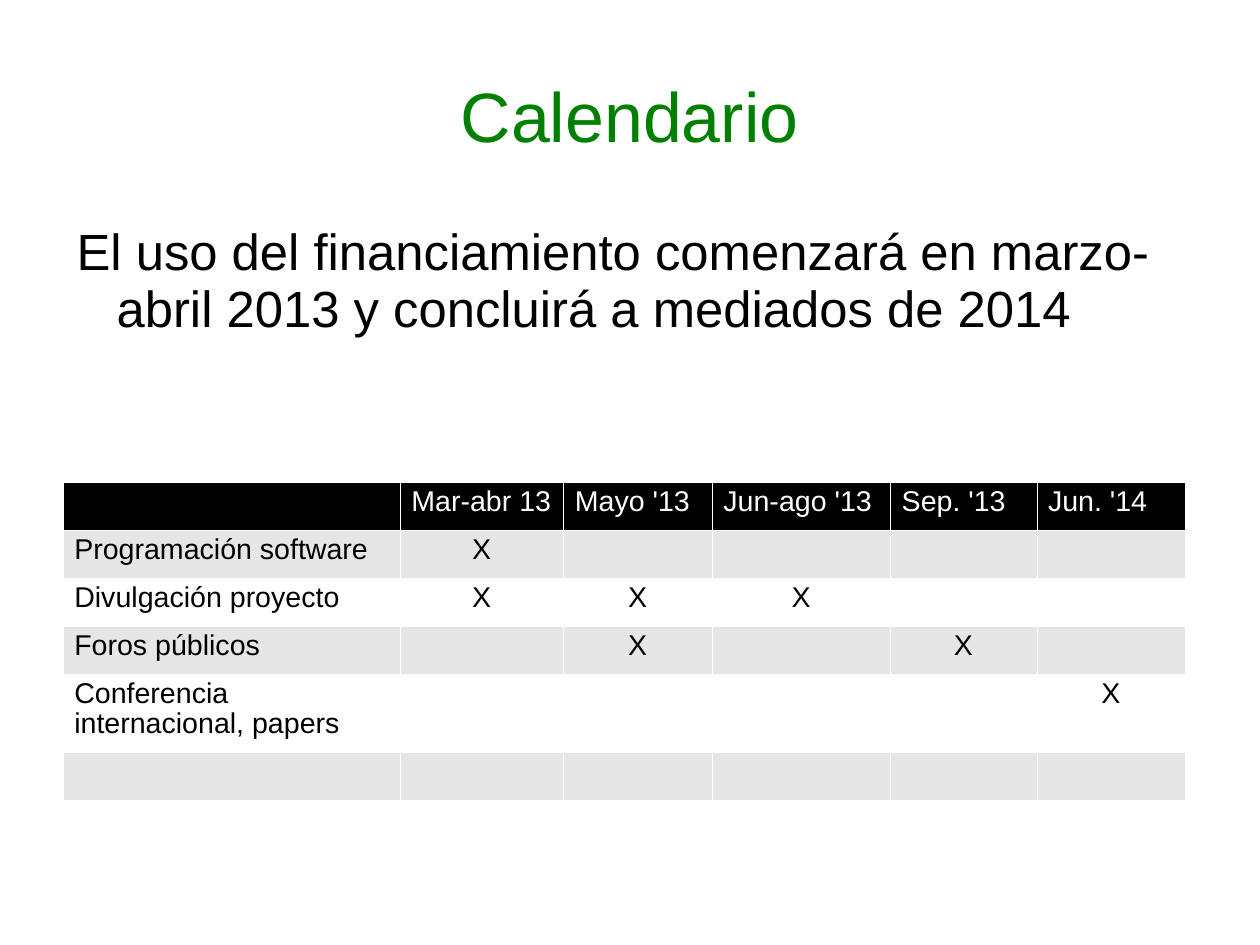
from lxml import etree
from pptx import Presentation
from pptx import util as u
from pptx.dml.color import RGBColor
from pptx.enum import text
from pptx.oxml import ns

GREEN = RGBColor(0x00, 0x80, 0x00)
BLACK = RGBColor(0x00, 0x00, 0x00)
WHITE = RGBColor(0xFF, 0xFF, 0xFF)
GRAY = RGBColor(0xE6, 0xE6, 0xE6)

PERIODS = ["Mar-abr 13", "Mayo '13", "Jun-ago '13", "Sep. '13", "Jun. '14"]
ACTIVITIES = [
    ("Programación software", {1}),
    ("Divulgación proyecto", {1, 2, 3}),
    ("Foros públicos", {2, 4}),
    ("Conferencia internacional, papers", {5}),
    ("", set()),
]
COLUMN_WIDTHS = [2.95, 1.43, 1.3, 1.56, 1.28, 1.3]
ROW_HEIGHTS = [0.42, 0.42, 0.42, 0.42, 0.68, 0.42]


class CalendarPage:
    """Draws styled text and schedule tables on one page."""

    font_name = "Arial"
    line_spacing = 0.93
    border_width = u.Pt(0.06)

    def __init__(self, page):
        self.page = page

    def style(self, para, size, color, align=text.PP_ALIGN.LEFT):
        para.alignment = align
        para.line_spacing = self.line_spacing
        para.font.name = self.font_name
        para.font.size = u.Pt(size)
        para.font.color.rgb = color

    def text_box(self, words, left, top, width, height, inset_top, anchor):
        box = self.page.shapes.add_textbox(*map(u.Inches, (left, top, width, height)))
        frame = box.text_frame
        frame.word_wrap = True
        frame.vertical_anchor = anchor
        frame.margin_left = frame.margin_right = frame.margin_bottom = 0
        frame.margin_top = u.Inches(inset_top)
        para = frame.paragraphs[0]
        para.text = words
        return para

    def title(self, words):
        para = self.text_box(words, 0.55, 0.33, 9.92, 1.38, 0.04, text.MSO_ANCHOR.MIDDLE)
        self.style(para, 44, GREEN, text.PP_ALIGN.CENTER)

    def body(self, words):
        para = self.text_box(words, 0.55, 1.94, 9.92, 1.69, 0.03, text.MSO_ANCHOR.TOP)
        properties = para._p.get_or_add_pPr()
        properties.set("marL", str(u.Inches(0.47)))
        properties.set("indent", str(u.Inches(-0.35)))
        etree.SubElement(properties, ns.qn("a:buNone"))
        para.space_after = u.Pt(14.1)
        self.style(para, 32, BLACK)

    def border(self, cell):
        properties = cell._tc.get_or_add_tcPr()
        for side in ("lnL", "lnR", "lnT", "lnB"):
            line = etree.SubElement(properties, ns.qn(f"a:{side}"), w=str(self.border_width))
            fill = etree.SubElement(line, ns.qn("a:solidFill"))
            etree.SubElement(fill, ns.qn("a:srgbClr"), val=str(WHITE))

    def cell(self, cell, words, fill, color, align):
        self.border(cell)
        cell.fill.solid()
        cell.fill.fore_color.rgb = fill
        cell.margin_left = cell.margin_right = u.Inches(0.1)
        cell.margin_top = cell.margin_bottom = u.Inches(0.05)
        para = cell.text_frame.paragraphs[0]
        para.text = words
        self.style(para, 18, color, align)

    def schedule(self, left, top):
        rows = [["", *PERIODS]]
        for activity, active in ACTIVITIES:
            marks = ["X" if column in active else "" for column in range(1, len(COLUMN_WIDTHS))]
            rows.append([activity, *marks])
        size = (sum(COLUMN_WIDTHS), sum(ROW_HEIGHTS))
        table = self.page.shapes.add_table(
            len(rows), len(COLUMN_WIDTHS), *map(u.Inches, (left, top, *size))
        ).table
        for column, width in zip(table.columns, COLUMN_WIDTHS):
            column.width = u.Inches(width)
        for row, height in zip(table.rows, ROW_HEIGHTS):
            row.height = u.Inches(height)
        for r, row in enumerate(rows):
            fill = BLACK if r == 0 else GRAY if r % 2 else WHITE
            color = BLACK if r else WHITE
            for c, words in enumerate(row):
                align = text.PP_ALIGN.CENTER if r and c else text.PP_ALIGN.LEFT
                self.cell(table.cell(r, c), words, fill, color, align)


def main():
    deck = Presentation()
    deck.slide_width = u.Pt(793.75)
    deck.slide_height = u.Pt(595.25)
    page = CalendarPage(deck.slides.add_slide(deck.slide_layouts[6]))
    page.title("Calendario")
    page.schedule(0.55, 4.22)
    page.body(
        "El uso del financiamiento comenzará en marzo-abril 2013 "
        "y concluirá a mediados de 2014"
    )
    deck.save("out.pptx")


if __name__ == "__main__":
    main()
